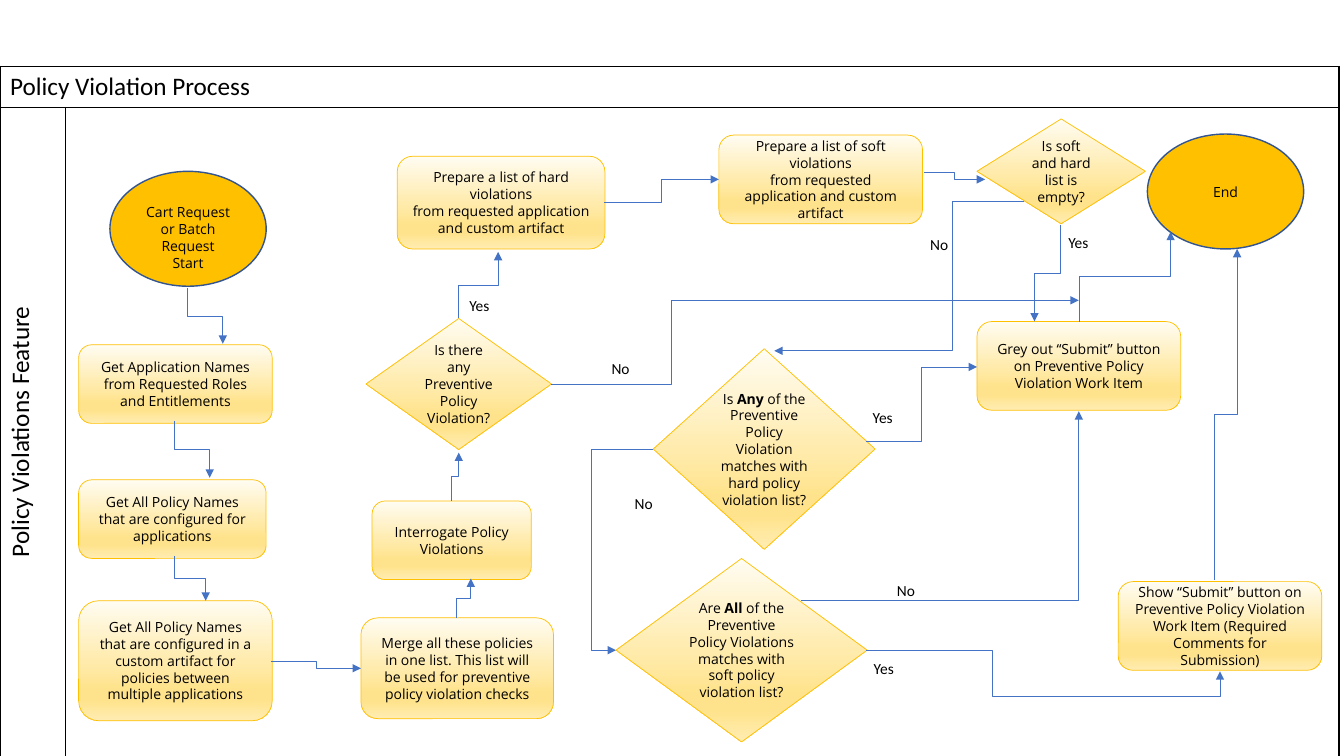
from dataclasses import dataclass

from lxml.etree import SubElement
from pptx import Presentation
from pptx.dml.color import RGBColor
from pptx.enum.shapes import MSO_CONNECTOR, MSO_SHAPE
from pptx.enum.text import MSO_ANCHOR, PP_ALIGN
from pptx.oxml.ns import qn
from pptx.slide import Slide
from pptx.text.text import TextFrame
from pptx.util import Emu, Pt


@dataclass(frozen=True)
class Theme:
    ink: str = "000000"
    gold: str = "FFC000"
    navy: str = "325491"
    blue: str = "4472C4"
    fade: tuple[tuple[int, str], ...] = (
        (0, "FFFCF2"), (51, "FFEBAC"), (74, "FFE38C"), (83, "FFE38C"), (100, "FFECB2"))
    body: str = "Open Sans"
    plain: str = "Calibri"
    head: int = 18
    tag: int = 11
    small: int = 10
    thin: float = 0.5
    thick: float = 1


@dataclass(frozen=True)
class Node:
    kind: MSO_SHAPE
    x: int
    y: int
    w: int
    h: int
    text: str
    drop: int = 0


@dataclass(frozen=True)
class Link:
    x1: int
    y1: int
    x2: int
    y2: int
    bends: tuple[int, ...] = (500,)
    upright: bool = False


@dataclass(frozen=True)
class Tag:
    x: int
    y: int
    text: str


THEME = Theme()
OVAL, STEP, TEST = MSO_SHAPE.OVAL, MSO_SHAPE.ROUNDED_RECTANGLE, MSO_SHAPE.DIAMOND

NODES = [
    Node(OVAL, 109, 170, 155, 114, "Cart Request or Batch Request\nStart", drop=17),
    Node(STEP, 78, 342, 192, 78, "Get Application Names from Requested Roles and Entitlements"),
    Node(OVAL, 1138, 133, 155, 114, "End"),
    Node(STEP, 78, 476, 186, 78, "Get All Policy Names that are configured for applications"),
    Node(STEP, 78, 596, 192, 119, "Get All Policy Names that are configured in a custom artifact "
         "for policies between multiple applications"),
    Node(STEP, 358, 613, 191, 100, "Merge all these policies in one list. This list will be used "
         "for preventive policy violation checks"),
    Node(STEP, 369, 497, 158, 78, "Interrogate Policy Violations"),
    Node(STEP, 713, 134, 202, 88, "Prepare a list of soft violations\n"
         "from requested application and custom artifact"),
    Node(STEP, 394, 155, 206, 92, "Prepare a list of hard violations\n"
         "from requested application and custom artifact"),
    Node(TEST, 363, 316, 184, 130, "Is there any Preventive Policy Violation?"),
    Node(TEST, 648, 346, 220, 199, "Is *Any* of the Preventive Policy Violation matches with "
         "hard policy violation list?"),
    Node(STEP, 969, 319, 202, 88, "Grey out “Submit” button on Preventive Policy Violation "
         "Work Item"),
    Node(TEST, 611, 554, 249, 182, "Are *All* of the Preventive Policy Violations matches with "
         "soft policy violation list?"),
    Node(STEP, 1109, 577, 202, 88, "Show “Submit” button on Preventive Policy Violation "
         "Work Item (Required Comments for Submission)"),
    Node(TEST, 969, 118, 167, 104, "Is soft and hard list is empty?"),
]

LINKS = [
    Link(547, 381, 1070, 298, (228,)),
    Link(455, 316, 494, 250, upright=True),
    Link(599, 201, 713, 178),
    Link(916, 171, 977, 178),
    Link(648, 446, 611, 645, (1672,)),
    Link(794, 596, 1070, 408, ()),
    Link(859, 438, 969, 364),
    Link(859, 645, 1210, 666, (356, 2189)),
    Link(1204, 575, 1227, 247, upright=True),
    Link(1070, 319, 1161, 230, upright=True),
    Link(186, 286, 221, 341, upright=True),
    Link(173, 418, 208, 474, upright=True),
    Link(173, 552, 204, 596, upright=True),
    Link(269, 656, 358, 663),
    Link(453, 613, 467, 574, upright=True),
    Link(448, 497, 455, 449, upright=True),
    Link(1052, 223, 1026, 319, upright=True),
    Link(1016, 200, 768, 348, (288,)),
]

TAGS = [
    Tag(593, 348, "No"), Tag(616, 482, "No"), Tag(876, 568, "No"), Tag(909, 225, "No"),
    Tag(853, 397, "Yes"), Tag(854, 646, "Yes"), Tag(453, 285, "Yes"), Tag(1047, 223, "Yes"),
]


def px(count: float) -> Emu:
    return Emu(int(count * 9144))


def tint(code: str) -> RGBColor:
    return RGBColor.from_string(code)


def write(frame: TextFrame, text: str, face: str, size: int, align: PP_ALIGN) -> None:
    frame.word_wrap = True
    frame.text = text
    for para in frame.paragraphs:
        para.alignment = align
        first, *rest = para.text.split("*")
        para.text = first
        for part in rest:
            para.add_run().text = part
        for spot, run in enumerate(para.runs):
            run.font.name = face
            run.font.size = Pt(size)
            run.font.bold = spot % 2 == 1
            run.font.color.rgb = tint(THEME.ink)


def draw_lane(slide: Slide) -> None:
    table = slide.shapes.add_table(2, 2, px(0), px(66), px(1328), px(684)).table
    table.first_row = table.horz_banding = False
    for column, width in zip(table.columns, (65, 1263)):
        column.width = px(width)
    for row, height in zip(table.rows, (40, 644)):
        row.height = px(height)
    table.cell(0, 0).merge(table.cell(0, 1))
    for cell in table.iter_cells():
        props = cell._tc.get_or_add_tcPr()
        for side in ("lnL", "lnR", "lnT", "lnB"):
            edge = SubElement(props, qn(f"a:{side}"), w=str(Pt(THEME.thick)))
            paint = SubElement(edge, qn("a:solidFill"))
            SubElement(paint, qn("a:srgbClr"), val=THEME.ink)
        cell.fill.background()
    title, label = table.cell(0, 0), table.cell(1, 0)
    write(title.text_frame, "Policy Violation Process", THEME.plain, THEME.head, PP_ALIGN.LEFT)
    write(label.text_frame, "Policy Violations Feature", THEME.plain, THEME.head, PP_ALIGN.CENTER)
    label._tc.get_or_add_tcPr().set("vert", "vert270")


def draw_node(slide: Slide, node: Node) -> None:
    shape = slide.shapes.add_shape(node.kind, px(node.x), px(node.y), px(node.w), px(node.h))
    shape.shadow.inherit = False
    if node.kind == OVAL:
        shape.fill.solid()
        shape.fill.fore_color.rgb = tint(THEME.gold)
        shape.line.color.rgb = tint(THEME.navy)
        shape.line.width = Pt(THEME.thick)
    else:
        shape.fill.gradient()
        shape.fill.gradient_angle = 270
        stops = shape._element.spPr.find(qn("a:gradFill")).find(qn("a:gsLst"))
        for stop in list(stops):
            stops.remove(stop)
        for place, code in THEME.fade:
            stop = SubElement(stops, qn("a:gs"), pos=str(place * 1000))
            SubElement(stop, qn("a:srgbClr"), val=code)
        shape.line.color.rgb = tint(THEME.gold)
        shape.line.width = Pt(THEME.thin)
    frame = shape.text_frame
    frame.vertical_anchor = MSO_ANCHOR.MIDDLE
    frame.margin_top = px(5 + node.drop)
    write(frame, node.text, THEME.body, THEME.small, PP_ALIGN.CENTER)


def draw_link(slide: Slide, link: Link) -> None:
    ends = (link.x1, link.y1, link.x2, link.y2)
    if link.upright:
        mid_x, mid_y = (link.x1 + link.x2) / 2, (link.y1 + link.y2) / 2
        half_x, half_y = (link.x2 - link.x1) / 2, (link.y2 - link.y1) / 2
        ends = (mid_x - half_y, mid_y + half_x, mid_x + half_y, mid_y - half_x)
    wire = slide.shapes.add_connector(MSO_CONNECTOR.ELBOW, *map(px, ends))
    wire.line.color.rgb = tint(THEME.blue)
    wire.line.width = Pt(THEME.thin)
    props = wire._element.spPr
    if link.upright:
        props.find(qn("a:xfrm")).set("rot", str(90 * 60000))
    form = props.find(qn("a:prstGeom"))
    form.set("prst", f"bentConnector{len(link.bends) + 2}")
    guides = form.find(qn("a:avLst"))
    for count, bend in enumerate(link.bends, 1):
        SubElement(guides, qn("a:gd"), name=f"adj{count}", fmla=f"val {bend * 100}")
    SubElement(props.find(qn("a:ln")), qn("a:tailEnd"), type="triangle")
    SubElement(props, qn("a:effectLst"))


def draw_tag(slide: Slide, tag: Tag) -> None:
    frame = slide.shapes.add_textbox(px(tag.x), px(tag.y), px(45), px(35)).text_frame
    frame.margin_left = frame.margin_right = 0
    frame.vertical_anchor = MSO_ANCHOR.MIDDLE
    write(frame, tag.text, THEME.plain, THEME.tag, PP_ALIGN.CENTER)


def main() -> None:
    deck = Presentation()
    deck.slide_width, deck.slide_height = px(1333), px(750)
    slide = deck.slides.add_slide(deck.slide_layouts[6])
    draw_lane(slide)
    for node in NODES:
        draw_node(slide, node)
    for link in LINKS:
        draw_link(slide, link)
    for tag in TAGS:
        draw_tag(slide, tag)
    deck.save("out.pptx")


if __name__ == "__main__":
    main()
